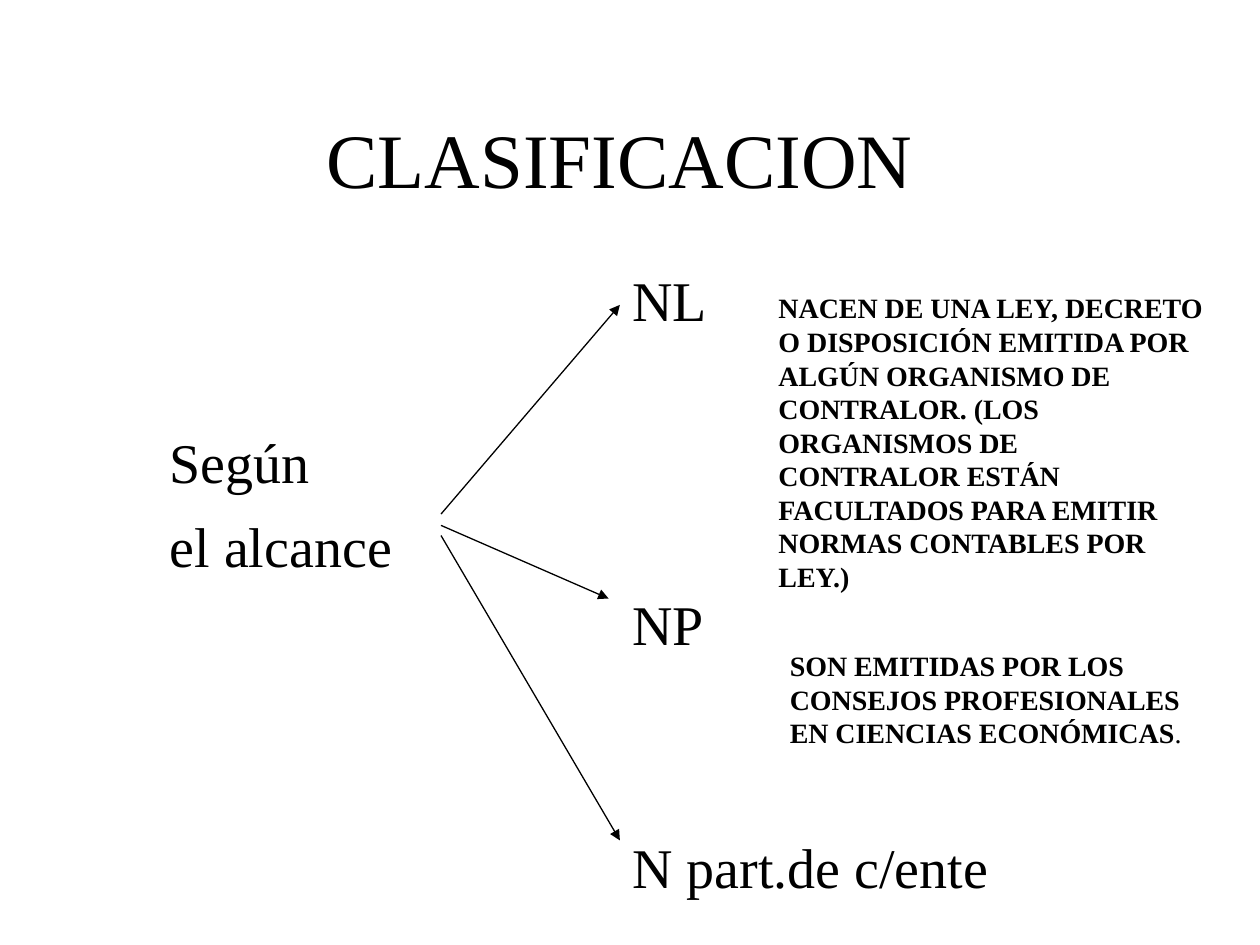
from dataclasses import dataclass

from lxml import etree
from pptx import Presentation
from pptx.dml.color import RGBColor
from pptx.enum.shapes import MSO_CONNECTOR
from pptx.enum.text import MSO_ANCHOR, PP_ALIGN
from pptx.oxml.ns import qn
from pptx.util import Inches, Pt

STRAIGHT = MSO_CONNECTOR.STRAIGHT
MIDDLE, TOP = MSO_ANCHOR.MIDDLE, MSO_ANCHOR.TOP
CENTER, LEFT = PP_ALIGN.CENTER, PP_ALIGN.LEFT
FONT = "Times New Roman"
BLACK = "000000"

FIRST_ROW, ROW_STEP = 2.06, 0.643
BRANCH_LEFT = 4.92
ARROW_START = 3.5


@dataclass
class Label:
    text: str
    left: float
    row: int
    width: float
    height: float = 0.6


@dataclass
class Definition:
    text: str
    left: float
    top: float
    width: float
    height: float
    ending: str = ""


@dataclass
class Arrow:
    start_y: float
    end_x: float
    end_y: float


LABELS = [
    Label("NL", BRANCH_LEFT, 0, 1),
    Label("Según\nel alcance", 1.25, 2, 2.2, 1.25),
    Label("NP", BRANCH_LEFT, 4, 1),
    Label("N part.de c/ente", BRANCH_LEFT, 7, 3.33),
]
DEFINITIONS = [
    Definition(
        "NACEN DE UNA LEY, DECRETO O DISPOSICIÓN EMITIDA POR ALGÚN ORGANISMO "
        "DE CONTRALOR. (LOS ORGANISMOS DE CONTRALOR ESTÁN FACULTADOS PARA "
        "EMITIR NORMAS CONTABLES POR LEY.)",
        6.08, 2.26, 3.58, 2.5),
    Definition(
        "SON EMITIDAS POR LOS CONSEJOS PROFESIONALES EN CIENCIAS ECONÓMICAS",
        6.17, 5.1, 3.33, 0.9, ending="."),
]
ARROWS = [
    Arrow(4.08, 4.92, 2.42),
    Arrow(4.17, 4.83, 4.75),
    Arrow(4.25, 4.92, 6.67),
]


def color(value: str) -> RGBColor:
    return RGBColor.from_string(value)


def write(frame, text: str, *, size: float, bold: bool = False, ending: str = "",
          align=LEFT, anchor=TOP, space_before: float = 0) -> None:
    """Fill a text frame, one paragraph per line; the ending is never bold."""
    frame.word_wrap = True
    frame.vertical_anchor = anchor
    lines = text.split("\n")
    for index, line in enumerate(lines):
        paragraph = frame.add_paragraph() if index else frame.paragraphs[0]
        paragraph.alignment = align
        if index:
            paragraph.space_before = Pt(space_before)
        pieces = [(line, bold)]
        if ending and index == len(lines) - 1:
            pieces.append((ending, False))
        for piece, weight in pieces:
            run = paragraph.add_run()
            run.text = piece
            run.font.name = FONT
            run.font.size = Pt(size)
            run.font.bold = weight
            run.font.color.rgb = color(BLACK)


def add_box(slide, left: float, top: float, width: float, height: float):
    box = slide.shapes.add_textbox(
        Inches(left), Inches(top), Inches(width), Inches(height))
    return box.text_frame


def add_title(slide, text: str) -> None:
    title = slide.shapes.title
    title.left, title.top = Inches(0.67), Inches(0.58)
    title.width, title.height = Inches(8.5), Inches(1.25)
    title.text_frame.margin_top = Inches(0.15)
    write(title.text_frame, text, size=44, align=CENTER, anchor=MIDDLE)


def add_label(slide, label: Label) -> None:
    top = FIRST_ROW + label.row * ROW_STEP
    frame = add_box(slide, label.left, top, label.width, label.height)
    write(frame, label.text, size=32, space_before=9.5)


def add_definition(slide, definition: Definition) -> None:
    frame = add_box(slide, definition.left, definition.top,
                    definition.width, definition.height)
    write(frame, definition.text, size=16, bold=True, ending=definition.ending)


def add_arrow(slide, arrow: Arrow) -> None:
    connector = slide.shapes.add_connector(
        STRAIGHT, Inches(ARROW_START), Inches(arrow.start_y),
        Inches(arrow.end_x), Inches(arrow.end_y))
    connector.line.color.rgb = color(BLACK)
    connector.line.width = Pt(0.75)
    properties = connector._element.spPr
    etree.SubElement(properties.find(qn("a:ln")), qn("a:tailEnd"), type="triangle")
    etree.SubElement(properties, qn("a:effectLst"))


def main() -> None:
    presentation = Presentation()
    presentation.slide_width, presentation.slide_height = Inches(10), Inches(7.5)
    slide = presentation.slides.add_slide(
        presentation.slide_layouts.get_by_name("Title Only"))
    add_title(slide, "CLASIFICACION")
    for label in LABELS:
        add_label(slide, label)
    for definition in DEFINITIONS:
        add_definition(slide, definition)
    for arrow in ARROWS:
        add_arrow(slide, arrow)
    presentation.save("out.pptx")


if __name__ == "__main__":
    main()
